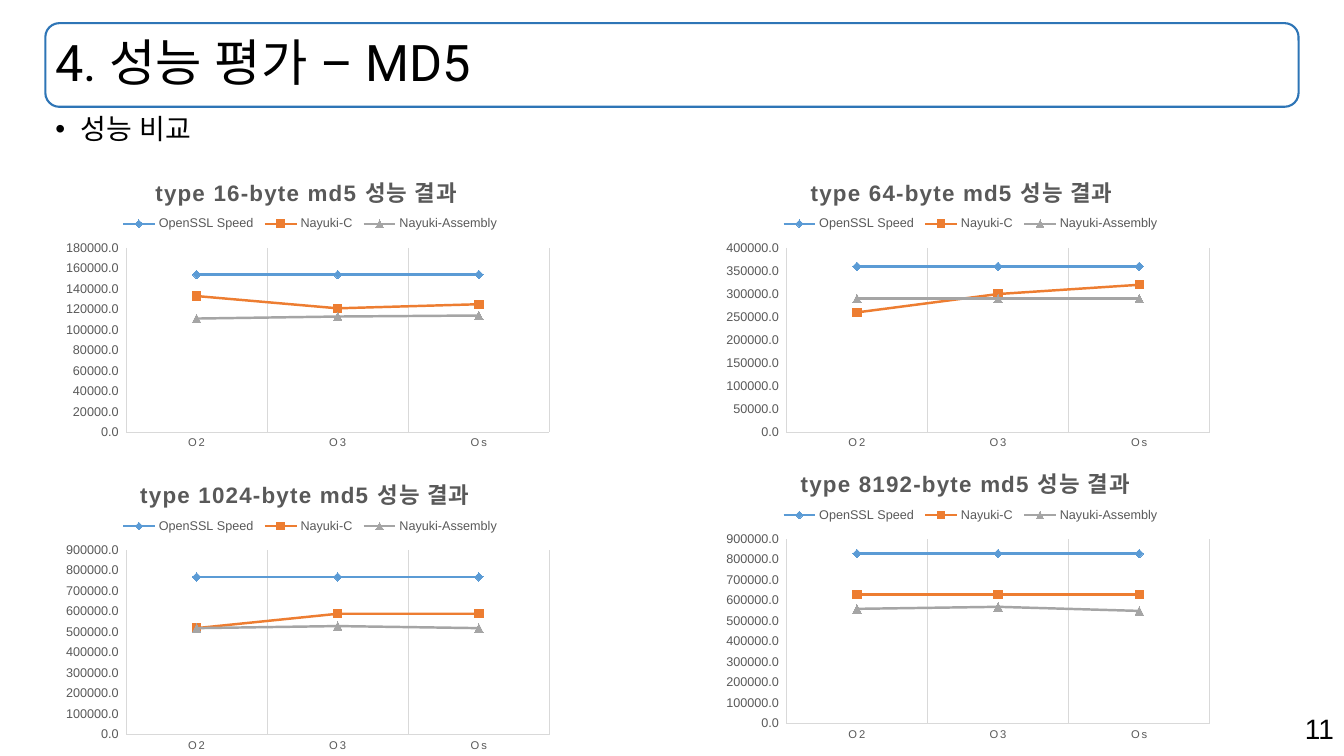
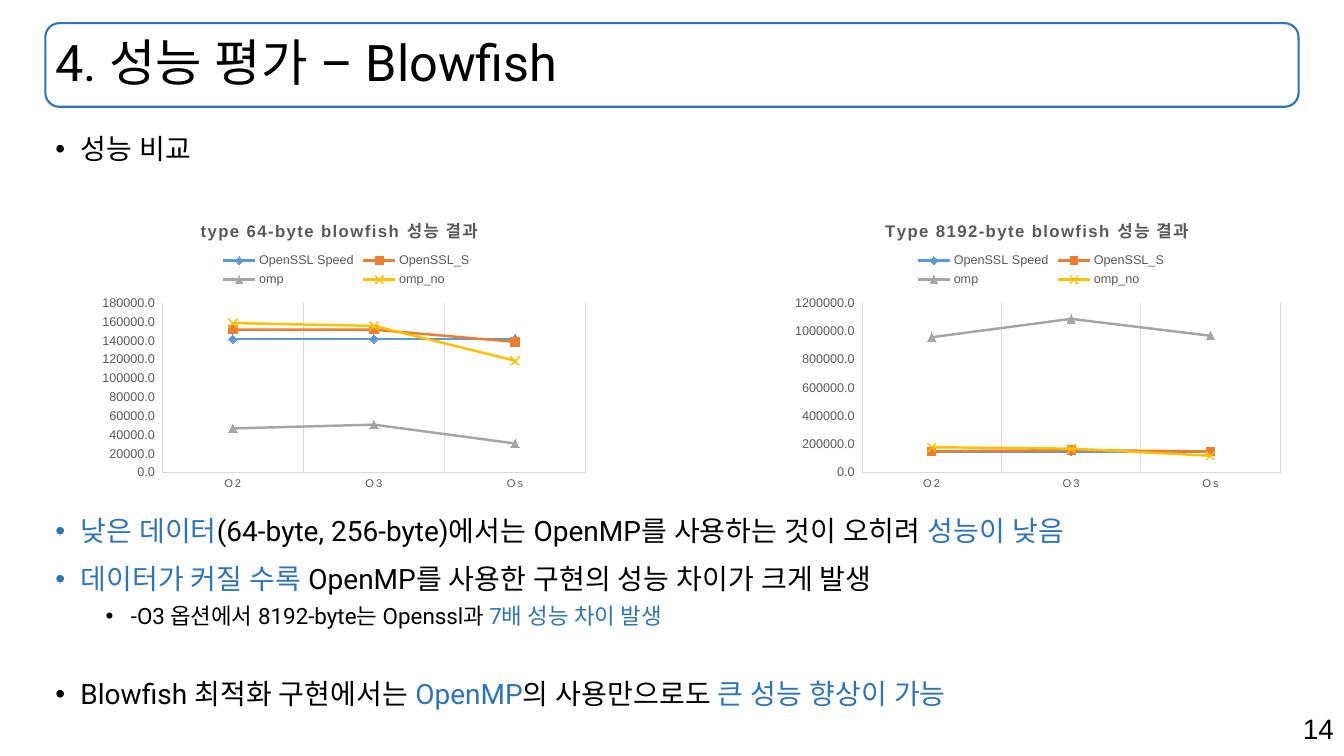
from pptx import Presentation
from pptx.chart.data import CategoryChartData
from pptx.dml.color import RGBColor
from pptx.enum.chart import (XL_CHART_TYPE, XL_LEGEND_POSITION as LEGEND_AT,
                             XL_MARKER_STYLE as MARKER, XL_TICK_MARK as TICK)
from pptx.enum.shapes import MSO_SHAPE as SHAPE
from pptx.enum.text import MSO_ANCHOR as ANCHOR, PP_ALIGN as ALIGN
from pptx.oxml.ns import qn
from pptx.util import Inches, Pt
from lxml.etree import SubElement, Element

BLACK = RGBColor(0x00, 0x00, 0x00)
WHITE = RGBColor(0xFF, 0xFF, 0xFF)
BLUE = RGBColor(0x2E, 0x75, 0xB6)
GRAY = RGBColor(0x59, 0x59, 0x59)
GRID = RGBColor(0xD9, 0xD9, 0xD9)

# Colour and marker of each series, in order
SERIES_LOOKS = [
    (RGBColor(0x5B, 0x9B, 0xD5), MARKER.DIAMOND),
    (RGBColor(0xED, 0x7D, 0x31), MARKER.SQUARE),
    (RGBColor(0xA5, 0xA5, 0xA5), MARKER.TRIANGLE),
    (RGBColor(0xFF, 0xC0, 0x00), MARKER.X),
]
OPTIONS = ["O2", "O3", "Os"]
BODY_FONT, CHART_FONT = "Roboto", "Arial"
LEFT, WIDTH = 0.45, 12.43
CHART_W, CHART_H = 5, 3


def add_text(paragraph, text, font=BODY_FONT, size=20, color=BLACK, bold=False, spacing=None):
    """Append one formatted run to a paragraph."""
    run = paragraph.add_run()
    run.text = text
    run.font.name, run.font.size, run.font.bold = font, Pt(size), bold
    run.font.color.rgb = color
    props = run.font._element
    if font == BODY_FONT:
        SubElement(props, qn("a:ea")).set("typeface", font)
    if spacing:
        props.set("spc", str(spacing))


def style_font(font, size, color=GRAY):
    font.name, font.size, font.bold = CHART_FONT, Pt(size), False
    font.color.rgb = color


def style_line(line, color=GRID, width=0.75):
    line.color.rgb, line.width = color, Pt(width)


def place(part, x, y, w=None, h=None, after=None, inner=False):
    """Set a manual layout, in fractions of the chart, on a chart part."""
    for old in part.findall(qn("c:layout")):
        part.remove(old)
    layout = Element(qn("c:layout"))
    manual = SubElement(layout, qn("c:manualLayout"))
    values = [("layoutTarget", "inner")] if inner else []
    values += [("xMode", "edge"), ("yMode", "edge"), ("x", x), ("y", y), ("w", w), ("h", h)]
    for tag, value in values:
        if value is not None:
            SubElement(manual, qn("c:" + tag)).set("val", str(value))
    if after:
        part.find(qn(after)).addnext(layout)
    else:
        part.insert(0, layout)


class Deck:
    def __init__(self):
        self.prs = Presentation()
        self.prs.slide_width, self.prs.slide_height = Inches(13.33), Inches(7.5)
        self.slide = None

    def new_slide(self, title, number):
        """Start a slide with its framed title and page number."""
        self.slide = self.prs.slides.add_slide(self.prs.slide_layouts[6])
        self.slide.background.fill.solid()
        self.slide.background.fill.fore_color.rgb = WHITE

        page = self.text_frame(9.43, 7.01, 3.9, 0.44).paragraphs[0]
        page.alignment = ALIGN.RIGHT
        add_text(page, str(number), font=CHART_FONT)

        band = self.slide.shapes.add_shape(SHAPE.ROUNDED_RECTANGLE, Inches(LEFT), Inches(0.23),
                                           Inches(WIDTH), Inches(0.83))
        band.shadow.inherit = False
        band.fill.background()
        style_line(band.line, BLUE, 1.5)
        frame = band.text_frame
        frame.margin_left = Inches(0.06)
        frame.vertical_anchor = ANCHOR.MIDDLE
        heading = frame.paragraphs[0]
        heading.alignment, heading.line_spacing = ALIGN.LEFT, 0.9
        add_text(heading, title, size=36)

    def text_frame(self, x, y, w, h):
        frame = self.slide.shapes.add_textbox(Inches(x), Inches(y), Inches(w), Inches(h)).text_frame
        frame.word_wrap = True
        return frame

    def bullets(self, y, h, items):
        """Each item is (level, space before, runs); a run is (text, colour)."""
        frame = self.text_frame(LEFT, y, WIDTH, h)
        for i, (level, before, runs) in enumerate(items):
            paragraph = frame.add_paragraph() if i else frame.paragraphs[0]
            paragraph.level = level
            props = paragraph._p.get_or_add_pPr()
            props.set("marL", str(Inches(0.25 + 0.5 * level)))
            props.set("indent", str(-Inches(0.25)))
            SubElement(props, qn("a:buFont")).set("typeface", "Arial")
            SubElement(props, qn("a:buChar")).set("char", "•")
            paragraph.space_before = Pt(before)
            for text, color in runs:
                add_text(paragraph, text, size=16 if level else 20, color=color)

    def line_chart(self, x, y, title, series, top, step, title_x, title_size, plot, legend):
        data = CategoryChartData(number_format="General")
        data.categories = OPTIONS
        for name, values in series.items():
            data.add_series(name, values)
        chart = self.slide.shapes.add_chart(XL_CHART_TYPE.LINE_MARKERS, Inches(x), Inches(y),
                                            Inches(CHART_W), Inches(CHART_H), data).chart
        style_font(chart.font, 10, BLACK)

        # Title and legend
        chart.has_title = True
        heading = chart.chart_title
        add_text(heading.text_frame.paragraphs[0], title, font=CHART_FONT, size=title_size,
                 color=GRAY, bold=True, spacing=100)
        place(heading._element, title_x, 0.06, after="c:tx")
        chart.has_legend = True
        chart.legend.position = LEGEND_AT.TOP
        chart.legend.include_in_layout = False
        style_font(chart.legend.font, 9)
        place(chart.legend._element, *legend, after="c:legendPos")

        # Axes
        options, speed = chart.category_axis, chart.value_axis
        for axis, size in ((options, 8), (speed, 9)):
            axis.major_tick_mark = axis.minor_tick_mark = TICK.NONE
            style_font(axis.tick_labels.font, size)
            style_line(axis.format.line)
        options.tick_labels.font._element.set("spc", "120")
        options.has_major_gridlines = True
        style_line(options.major_gridlines.format.line)
        speed.has_major_gridlines = False
        speed.minimum_scale, speed.maximum_scale, speed.major_unit = 0, top, step
        speed.tick_labels.number_format = r"0.0_);[Red]\(0.0\)"
        speed.tick_labels.number_format_is_linked = False

        # Series
        lines = chart.plots[0]
        lines.vary_by_categories = False
        for line, (color, marker) in zip(lines.series, SERIES_LOOKS):
            line.smooth = False
            style_line(line.format.line, color, 1.75)
            line.marker.style, line.marker.size = marker, 6
            style_line(line.marker.format.line, color)
            if marker == MARKER.X:
                line.marker.format.fill.background()
            else:
                line.marker.format.fill.solid()
                line.marker.format.fill.fore_color.rgb = color
        place(chart._chartSpace.chart.plotArea, *plot, inner=True)


def md5_slide(deck):
    deck.new_slide("4. 성능 평가 – MD5", 11)
    deck.bullets(1.06, 0.5, [(0, 0, [("성능 비교", BLACK)])])
    names = ["OpenSSL Speed", "Nayuki-C", "Nayuki-Assembly"]
    # x, y, block size, title left, axis top, axis step, values of each series
    charts = [
        (0.55, 1.5, 16, 0.19, 180000, 20000,
         [[154000] * 3, [133000, 121000, 125000], [111000, 113000, 114000]]),
        (7.1, 1.5, 64, 0.18, 400000, 50000,
         [[360000] * 3, [260000, 300000, 320000], [290000] * 3]),
        (0.55, 4.5, 1024, 0.16, 900000, 100000,
         [[770000] * 3, [520000, 590000, 590000], [520000, 530000, 520000]]),
        (7.1, 4.39, 8192, 0.16, 900000, 100000,
         [[830000] * 3, [630000] * 3, [560000, 570000, 550000]]),
    ]
    for x, y, size, title_x, top, step, values in charts:
        deck.line_chart(x, y, f"type {size}-byte md5 성능 결과", dict(zip(names, values)),
                        top, step, title_x, 16,
                        plot=(0.14, 0.32, 0.84, 0.61), legend=(0.12, 0.2, 0.77, 0.08))


def blowfish_slide(deck):
    deck.new_slide("4. 성능 평가 – Blowfish", 14)
    names = ["OpenSSL Speed", "OpenSSL_S", "omp", "omp_no"]
    # x, title, title left, axis top, axis step, plot left, plot width, values of each series
    charts = [
        (7.8, "Type 8192-byte blowfish 성능 결과", 0.19, 1200000, 200000, 0.15, 0.83,
         [[150000] * 3, [150000, 160000, 150000], [960000, 1090000, 970000],
          [180000, 170000, 120000]]),
        (0.91, "type 64-byte blowfish 성능 결과", 0.21, 180000, 20000, 0.14, 0.84,
         [[142000] * 3, [152000, 152000, 139000], [47000, 51000, 31000],
          [159000, 156000, 119000]]),
    ]
    for x, title, title_x, top, step, plot_x, plot_w, values in charts:
        deck.line_chart(x, 1.93, title, dict(zip(names, values)), top, step, title_x, 12,
                        plot=(plot_x, 0.36, plot_w, 0.56), legend=(0.25, 0.18, 0.51, 0.14))

    # Findings
    deck.bullets(1.26, 0.5, [(0, 0, [("성능 비교", BLACK)])])
    deck.bullets(5.05, 2.1, [
        (0, 0, [("낮은 데이터", BLUE),
                ("(64-byte, 256-byte)에서는 OpenMP를 사용하는 것이 오히려 ", BLACK),
                ("성능이 낮음", BLUE)]),
        (0, 10, [("데이터가 커질 수록 ", BLUE),
                 ("OpenMP를 사용한 구현의 성능 차이가 크게 발생", BLACK)]),
        (1, 5, [("-O3 옵션에서 8192-byte는 Openssl과 ", BLACK),
                ("7배 성능 차이 발생", BLUE)]),
        (0, 34, [("Blowfish 최적화 구현에서는 ", BLACK), ("OpenMP", BLUE),
                 ("의 사용만으로도 ", BLACK), ("큰 성능 향상이 가능", BLUE)]),
    ])


def main():
    deck = Deck()
    md5_slide(deck)
    blowfish_slide(deck)
    deck.prs.save("out.pptx")


if __name__ == "__main__":
    main()
